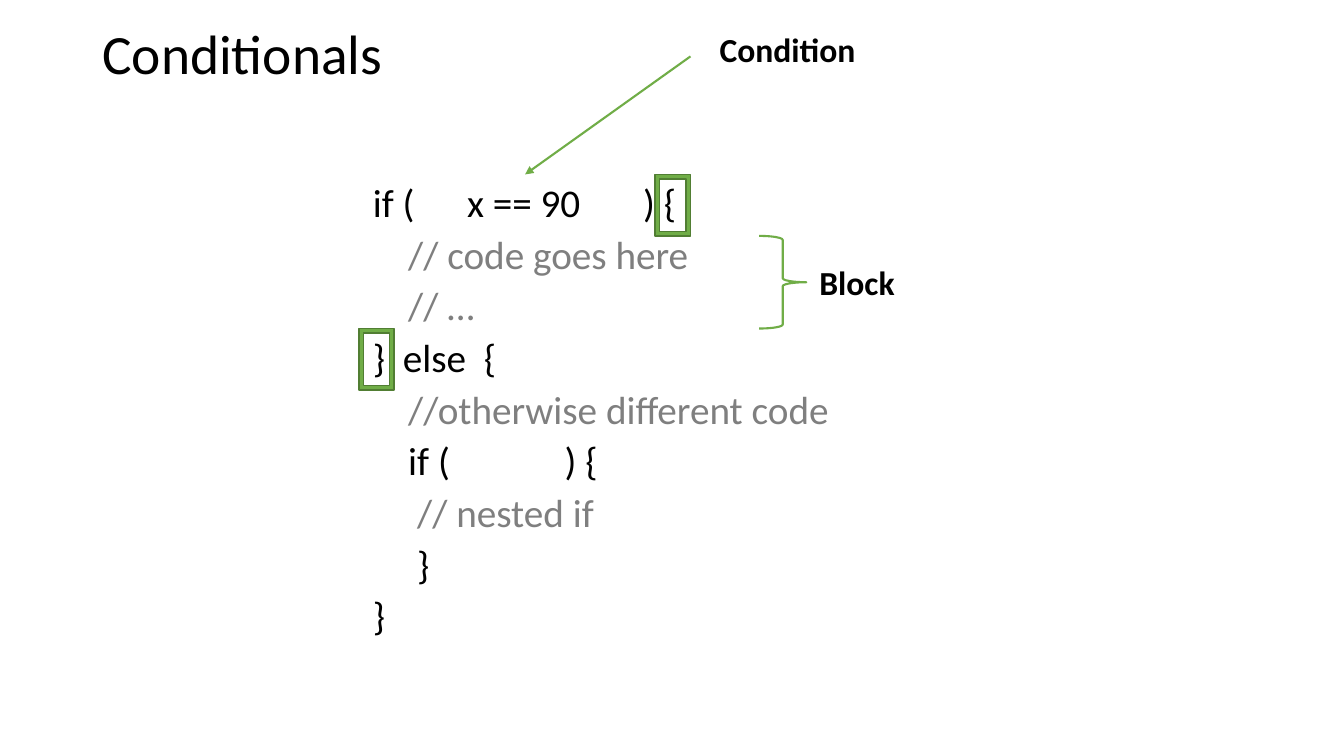
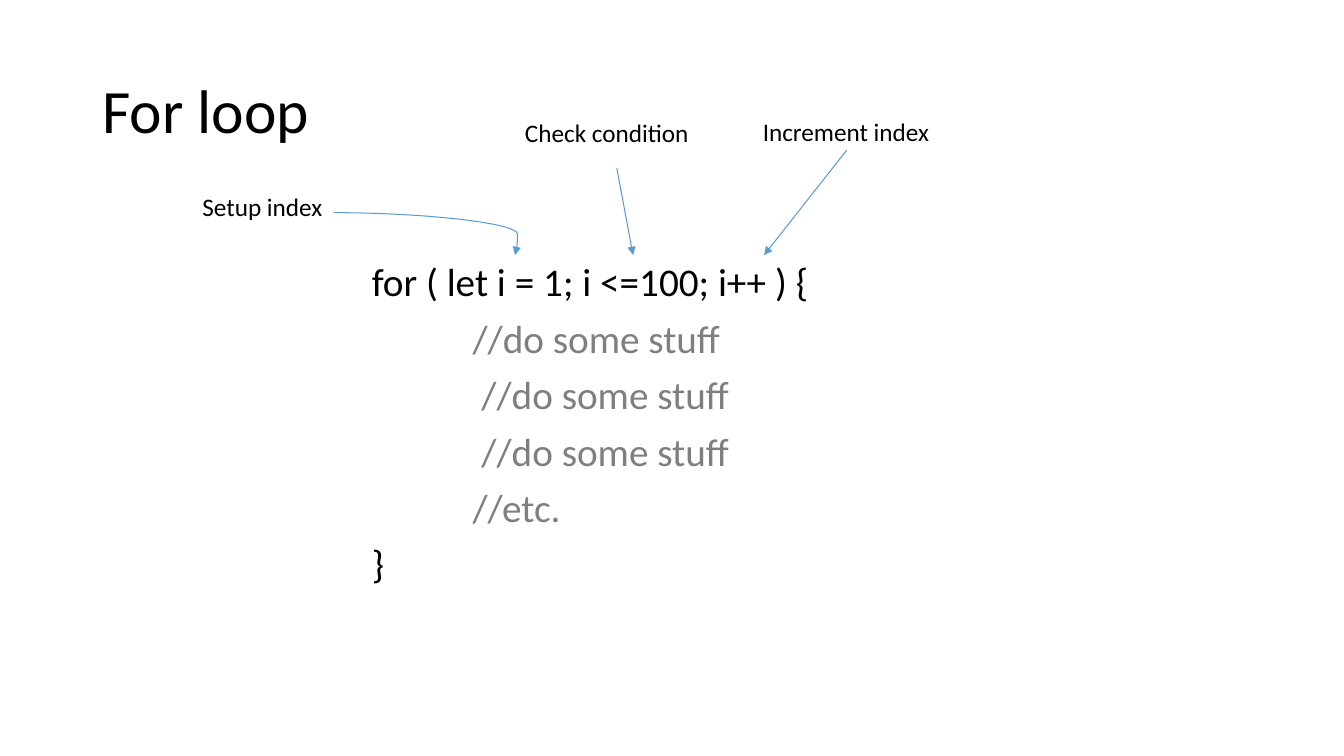
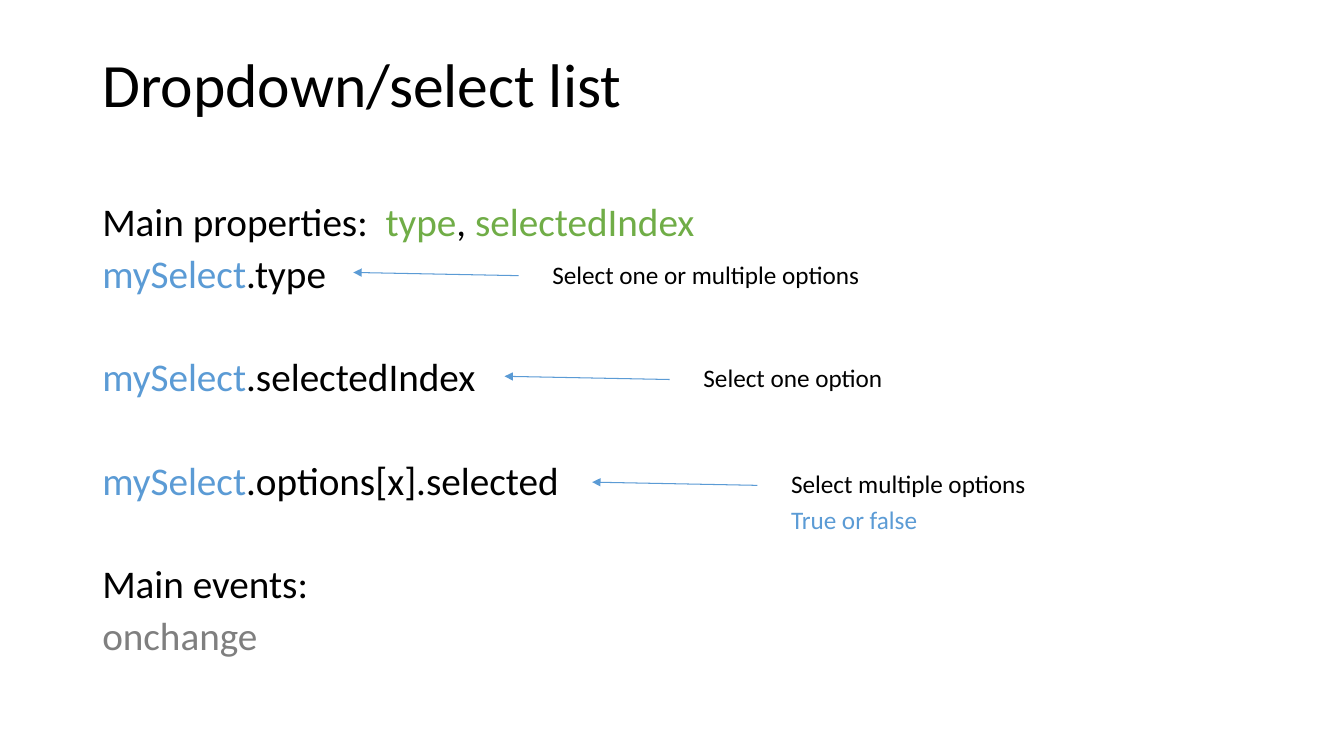
"""Build three slides on conditionals, for loops and select lists."""
from lxml.etree import SubElement
from pptx import Presentation
from pptx.dml.color import RGBColor
from pptx.enum.shapes import MSO_CONNECTOR, MSO_SHAPE
from pptx.enum.text import MSO_ANCHOR
from pptx.oxml.ns import qn
from pptx.util import Pt

BLACK = RGBColor(0x00, 0x00, 0x00)
GREY = RGBColor(0x7F, 0x7F, 0x7F)
GREEN = RGBColor(0x70, 0xAD, 0x47)
DARK_GREEN = RGBColor(0x51, 0x7E, 0x33)
BLUE = RGBColor(0x5B, 0x9B, 0xD5)


def add_text(paragraph, text, *, size, color=BLACK, bold=False, font="Calibri"):
    """Append formatted text to a paragraph."""
    run = paragraph.add_run()
    run.text = text
    run.font.name = font
    run.font.size = Pt(size)
    run.font.bold = bold
    run.font.color.rgb = color


class Deck:
    """Hold the shared style and the current slide."""

    margin = 66
    content_width = 828
    body_size = 28
    paragraph_gap = 10

    def __init__(self):
        """Start a widescreen presentation."""
        self.presentation = Presentation()
        self.presentation.slide_width = Pt(960)
        self.presentation.slide_height = Pt(540)
        self.slide = None

    def add_slide(self, title, top, height, size=44):
        """Add a slide with its title."""
        self.slide = self.presentation.slides.add_slide(self.presentation.slide_layouts[6])
        frame = self.frame(self.margin, top, self.content_width, height)
        frame.vertical_anchor = MSO_ANCHOR.MIDDLE
        frame.paragraphs[0].line_spacing = 0.9
        add_text(frame.paragraphs[0], title, size=size)

    def frame(self, left, top, width, height, wrap=True):
        """Add a text box and return its text frame."""
        box = self.slide.shapes.add_textbox(Pt(left), Pt(top), Pt(width), Pt(height))
        box.text_frame.word_wrap = wrap
        return box.text_frame

    def body(self, left, top, width, height, lines, spacing, stops=()):
        """Add lines, each a list of text and colour pairs with the gap before it."""
        frame = self.frame(left, top, width, height)
        for index, (parts, gap) in enumerate(lines):
            paragraph = frame.add_paragraph() if index else frame.paragraphs[0]
            paragraph.line_spacing = spacing
            paragraph.space_before = Pt(gap if index else 0)
            if stops:
                self.tab_stops(paragraph, stops)
            for text, color in parts:
                add_text(paragraph, text, size=self.body_size, color=color)

    def code(self, left, top, width, height, lines, spacing):
        """Add code lines, each with its text, colour and tab stops."""
        frame = self.frame(left, top, width, height)
        for index, (text, color, stops) in enumerate(lines):
            paragraph = frame.add_paragraph() if index else frame.paragraphs[0]
            paragraph.line_spacing = spacing
            paragraph.space_before = Pt(self.paragraph_gap if index else 0)
            self.tab_stops(paragraph, stops)
            add_text(paragraph, text, size=self.body_size, color=color)

    def tab_stops(self, paragraph, stops):
        """Set left tab stops on a paragraph."""
        if stops:
            tab_list = SubElement(paragraph._p.get_or_add_pPr(), qn("a:tabLst"))
            for stop in stops:
                SubElement(tab_list, qn("a:tab"), pos=str(Pt(stop)), algn="l")

    def label(self, text, left, top, width, size=18, color=BLACK, bold=False):
        """Add a one-line label."""
        frame = self.frame(left, top, width, size * 1.2 + 7.2, wrap=False)
        add_text(frame.paragraphs[0], text, size=size, color=color, bold=bold)

    def shape(self, kind, left, top, width, height, line, weight, fill=None):
        """Add an outlined preset shape."""
        shape = self.slide.shapes.add_shape(kind, Pt(left), Pt(top), Pt(width), Pt(height))
        shape.shadow.inherit = False
        if fill is None:
            shape.fill.background()
        else:
            shape.fill.solid()
            shape.fill.fore_color.rgb = fill
        shape.line.color.rgb = line
        shape.line.width = Pt(weight)

    def arrow(self, start, end, color=BLUE, weight=0.75, bend=None):
        """Add an arrow, curved when a bend is given."""
        kind = MSO_CONNECTOR.STRAIGHT if bend is None else MSO_CONNECTOR.CURVE
        points = [Pt(value) for value in (*start, *end)]
        connector = self.slide.shapes.add_connector(kind, *points)
        connector.line.color.rgb = color
        connector.line.width = Pt(weight)
        properties = connector._element.spPr
        SubElement(properties.find(qn("a:ln")), qn("a:tailEnd"), type="triangle")
        SubElement(properties, qn("a:effectLst"))
        if bend is not None:
            guides = properties.find(qn("a:prstGeom")).find(qn("a:avLst"))
            SubElement(guides, qn("a:gd"), name="adj1", fmla=f"val {round(bend * 100000)}")


def conditionals(deck):
    """Build the conditionals slide."""
    deck.add_slide("Conditionals", 17.3, 46.8, size=39.6)
    indent, nested = 25.3, 31.7
    lines = [
        ("if (\tx == 90\t) {", BLACK, [67.3, 193]),
        ("\t// code goes here", GREY, [indent]),
        ("\t// …", GREY, [indent]),
        ("}  else  {", BLACK, []),
        ("\t//otherwise different code", GREY, [indent]),
        ("\tif (\t) {", BLACK, [indent, 137]),
        ("\t// nested if", GREY, [nested]),
        ("\t}", BLACK, [nested]),
        ("}", BLACK, []),
    ]
    deck.code(259.2, 130.3, 635, 356.4, lines, 0.8)
    for left, top in ((468, 124.6), (256.3, 234.7)):
        deck.shape(MSO_SHAPE.FRAME, left, top, 25.2, 43.9, DARK_GREEN, 1, fill=GREEN)
    deck.shape(MSO_SHAPE.RIGHT_BRACE, 542.2, 168.5, 33.8, 66.2, GREEN, 1.5)
    deck.label("Block", 578.2, 183.6, 69.1, size=24, bold=True)
    deck.label("Condition", 506.9, 17.3, 113, size=24, bold=True)
    deck.arrow((493.2, 40.3), (375.1, 124.6), color=GREEN, weight=1.5)


def for_loop(deck):
    """Build the for loop slide."""
    deck.add_slide("For loop", 28.8, 104.4)
    lines = [
        ("for ( let i = 1; i <=100; i++ ) {", BLACK, []),
        ("\t//do some stuff", GREY, [72]),
        ("\t //do some stuff", GREY, [72]),
        ("\t //do some stuff", GREY, [72]),
        ("\t//etc.", GREY, [72]),
        ("}", BLACK, []),
    ]
    deck.code(258.5, 184.4, 635, 302.3, lines, 0.9)
    deck.label("Setup index", 137.5, 133.2, 101.5)
    deck.label("Check condition", 367.9, 80.6, 133.2)
    deck.label("Increment index", 537.8, 79.9, 134.6)
    code_top = 182.2
    deck.arrow((238.3, 151.9), (367.9, code_top), bend=1.013)
    deck.arrow((440.6, 120.2), (452.2, code_top))
    deck.arrow((604.8, 107.3), (545.8, code_top))


def select_list(deck):
    """Build the select list slide."""
    deck.add_slide("Dropdown/select list", 28.8, 67.7)
    gap = deck.paragraph_gap
    section_gap = 47
    lines = [
        ([("Main properties:  ", BLACK), ("type", GREEN), (", ", BLACK),
          ("selectedIndex", GREEN)], gap),
        ([("mySelect", BLUE), (".type", BLACK)], gap),
        ([("mySelect", BLUE), (".selectedIndex", BLACK)], section_gap),
        ([("mySelect", BLUE), (".options[x].selected", BLACK)], section_gap),
        ([("Main events:", BLACK)], section_gap),
        ([("onchange", GREY)], gap),
    ]
    deck.body(deck.margin, 144, deck.content_width, 342.7, lines, 0.8)
    remarks = [
        ("Select one or multiple options", 387.4, 181.4, 236.9),
        ("Select one option", 495.4, 255.6, 144),
        ("Select multiple options", 558, 331.2, 184.3),
    ]
    for text, left, top, width in remarks:
        deck.label(text, left, top, width)
        deck.arrow((left - 17, top + 15.5), (left - 135, top + 13.2))
    deck.label("True or false", 558, 356.4, 105.8, color=BLUE)


def main():
    """Build and save the presentation."""
    deck = Deck()
    conditionals(deck)
    for_loop(deck)
    select_list(deck)
    deck.presentation.save("out.pptx")


main()
